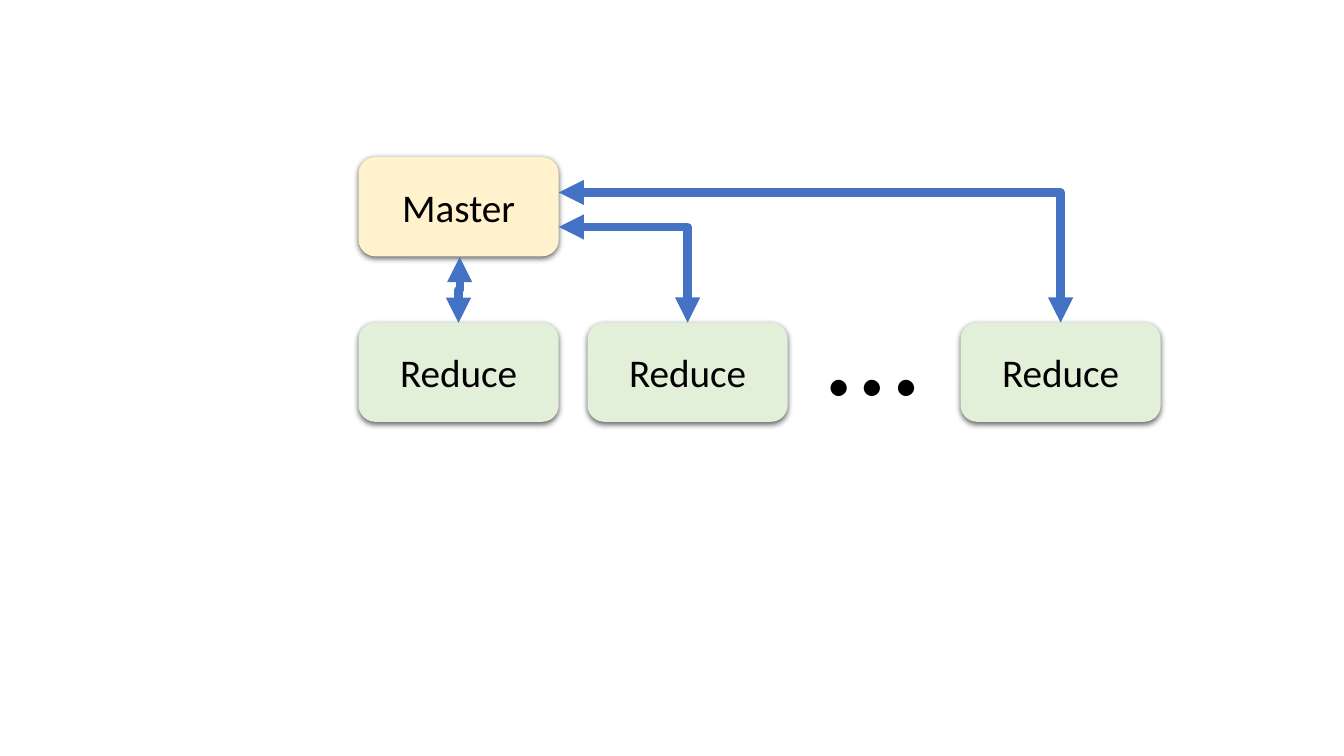
from dataclasses import dataclass

from lxml import etree
from pptx import Presentation
from pptx.dml.color import RGBColor
from pptx.enum.shapes import MSO_CONNECTOR, MSO_SHAPE
from pptx.enum.text import MSO_ANCHOR, MSO_AUTO_SIZE, PP_ALIGN
from pptx.oxml.ns import qn
from pptx.slide import Slide
from pptx.text.text import TextFrame
from pptx.util import Cm, Pt

ROUNDED = MSO_SHAPE.ROUNDED_RECTANGLE
ELBOW = MSO_CONNECTOR.ELBOW
MIDDLE = MSO_ANCHOR.MIDDLE
GROW = MSO_AUTO_SIZE.SHAPE_TO_FIT_TEXT
CENTER = PP_ALIGN.CENTER
LEFT = PP_ALIGN.LEFT

COLORS = {
    "master": "FFF2CC",
    "reduce": "E2F0D9",
    "arrow": "4472C4",
    "text": "000000",
    "shadow": "000000",
}
FONT = "Calibri"
NODE_WIDTH, NODE_HEIGHT = 5.04, 2.5
MASTER_LEFT, MASTER_TOP = 9.04, 3.96
REDUCE_TOP = 8.13
REDUCE_LEFTS = (MASTER_LEFT, 14.81, 24.21)


@dataclass
class Node:
    label: str
    left: float
    top: float
    color: str


@dataclass
class Arrow:
    """A double-headed elbow; lengths in cm, rotation in degrees."""
    start: tuple[float, float]
    end: tuple[float, float]
    preset: str = "bentConnector2"
    rotation: int = 0


NODES = [Node("Master", MASTER_LEFT, MASTER_TOP, "master")] + [
    Node("Reduce", left, REDUCE_TOP, "reduce") for left in REDUCE_LEFTS
]
MASTER_RIGHT = MASTER_LEFT + NODE_WIDTH
ARROWS = [Arrow((10.74, 7.29), (12.4, 7.32), "bentConnector3", 90)] + [
    Arrow((MASTER_RIGHT, exit_top), (left + NODE_WIDTH / 2, REDUCE_TOP))
    for exit_top, left in zip((5.72, 4.85), REDUCE_LEFTS[1:])
]


def write_text(frame: TextFrame, text: str, size: int, alignment: PP_ALIGN) -> None:
    frame.text = text
    para = frame.paragraphs[0]
    para.alignment = alignment
    span = para.runs[0]
    span.font.name = FONT
    span.font.size = Pt(size)
    span.font.color.rgb = RGBColor.from_string(COLORS["text"])


def add_node(page: Slide, node: Node) -> None:
    box = page.shapes.add_shape(
        ROUNDED, Cm(node.left), Cm(node.top), Cm(NODE_WIDTH), Cm(NODE_HEIGHT)
    )
    box.fill.solid()
    box.fill.fore_color.rgb = RGBColor.from_string(COLORS[node.color])
    box.line.fill.background()
    box.shadow.inherit = False
    effects = box.element.spPr.find(qn("a:effectLst"))
    shadow = etree.SubElement(
        effects, qn("a:outerShdw"), blurRad=str(Pt(4.5)), dist=str(Pt(1.5)),
        dir="5400000", algn="ctr", rotWithShape="0",
    )
    color = etree.SubElement(shadow, qn("a:srgbClr"), val=COLORS["shadow"])
    etree.SubElement(color, qn("a:alpha"), val="63000")
    box.text_frame.vertical_anchor = MIDDLE
    write_text(box.text_frame, node.label, 28, CENTER)


def add_ellipsis(page: Slide) -> None:
    box = page.shapes.add_textbox(Cm(20.57), Cm(6.45), Cm(2.87), Cm(4.37))
    box.text_frame.word_wrap = False
    box.text_frame.auto_size = GROW
    write_text(box.text_frame, "…", 96, LEFT)


def add_arrow(page: Slide, arrow: Arrow) -> None:
    start_x, start_y = arrow.start
    end_x, end_y = arrow.end
    connector = page.shapes.add_connector(
        ELBOW, Cm(start_x), Cm(start_y), Cm(end_x), Cm(end_y)
    )
    connector.line.color.rgb = RGBColor.from_string(COLORS["arrow"])
    connector.line.width = Pt(6)
    properties = connector.element.spPr
    properties.find(qn("a:prstGeom")).set("prst", arrow.preset)
    properties.find(qn("a:xfrm")).set("rot", str(arrow.rotation * 60000))
    line = properties.find(qn("a:ln"))
    for tip in ("a:headEnd", "a:tailEnd"):
        etree.SubElement(line, qn(tip), type="triangle")
    etree.SubElement(properties, qn("a:effectLst"))


def main() -> None:
    deck = Presentation()
    deck.slide_width, deck.slide_height = Cm(33.87), Cm(19.05)
    page = deck.slides.add_slide(deck.slide_layouts[6])
    for node in NODES:
        add_node(page, node)
    add_ellipsis(page)
    for arrow in ARROWS:
        add_arrow(page, arrow)
    deck.save("out.pptx")


if __name__ == "__main__":
    main()
